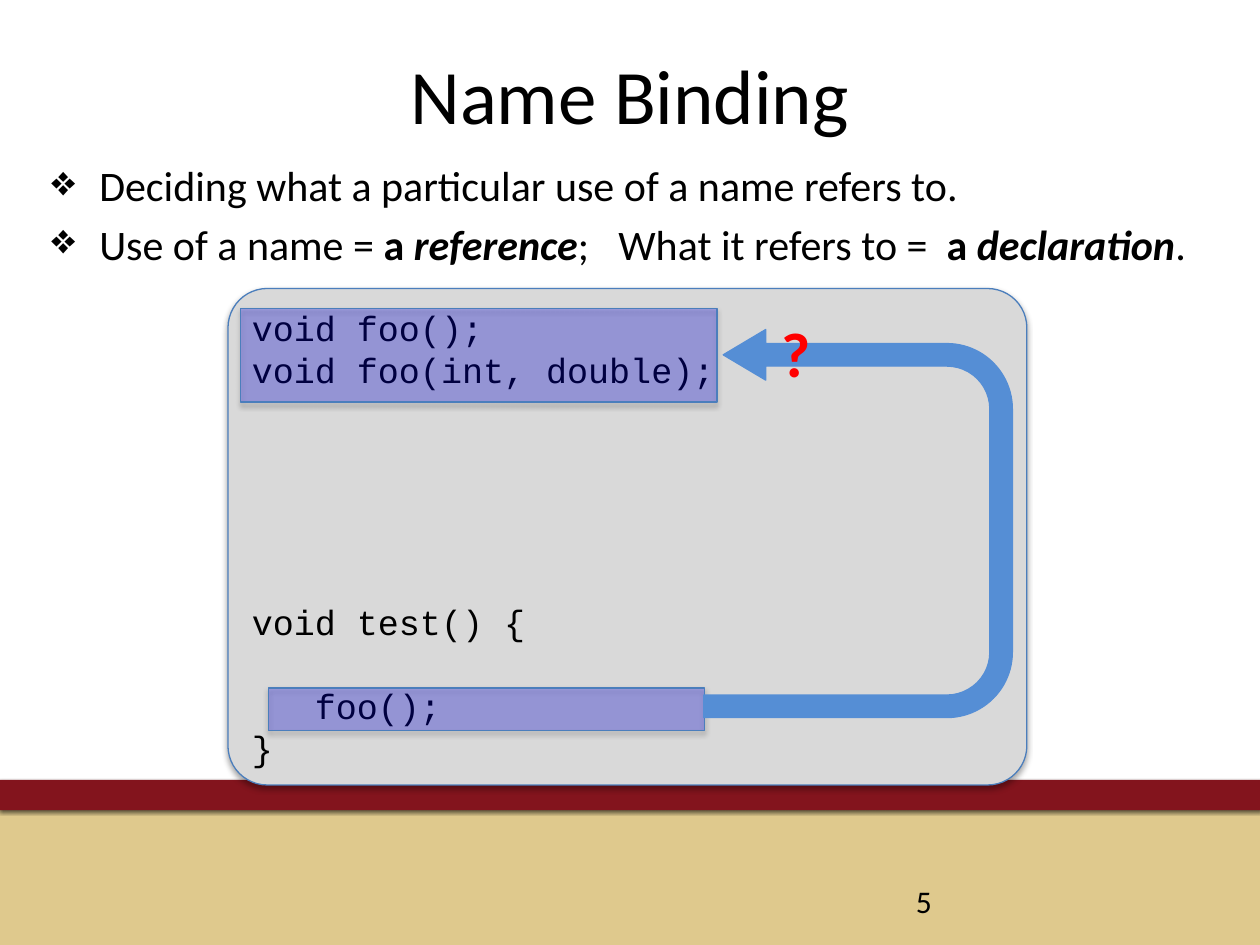
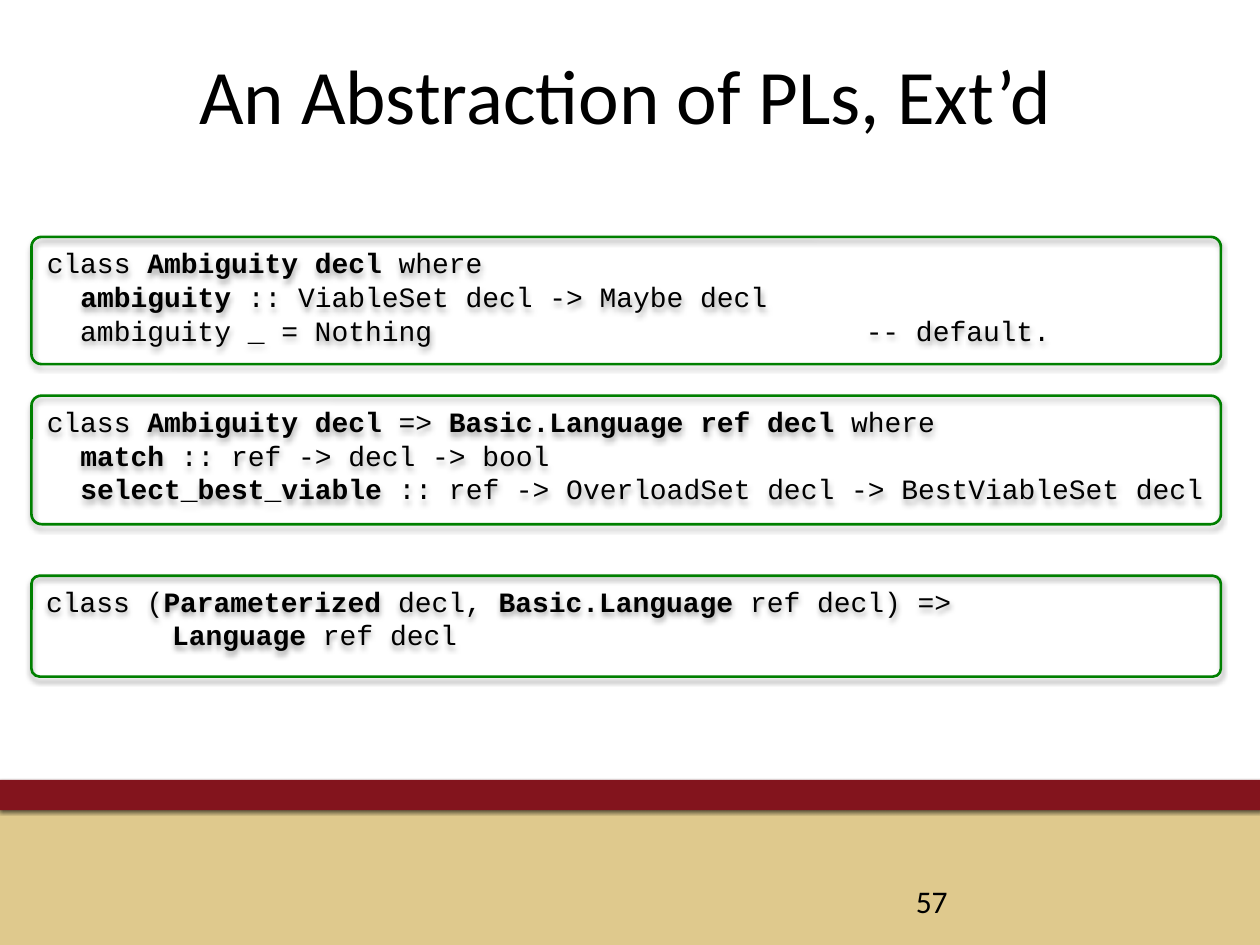
from dataclasses import dataclass
from typing import Optional

from lxml.etree import SubElement
from pptx import Presentation
from pptx.dml.color import RGBColor as RGB
from pptx.enum.shapes import MSO_SHAPE as Shp
from pptx.enum.text import MSO_ANCHOR as Anchor, PP_ALIGN as Align
from pptx.oxml.ns import qn
from pptx.util import Emu, Inches, Pt


@dataclass(frozen=True)
class Theme:
    text: str = "000000"
    sand: str = "DFC98D"
    maroon: str = "83141D"
    panel: str = "D9D9D9"
    outline: str = "4B7EBC"
    highlight: str = "0000FF"
    arrow: str = "558ED5"
    question: str = "FF0000"
    class_outline: str = "008000"
    body_font: str = "Calibri"
    code_font: str = "Courier New"
    title_size: float = 44
    question_size: float = 36
    body_size: float = 24
    code_size: float = 20
    class_size: float = 16
    number_size: float = 18
    code_leading: float = 1.2
    corner: float = 0.079
    tab: float = 0.5


THEME = Theme()


@dataclass(frozen=True)
class Box:
    left: float
    top: float
    width: float
    height: float

    def emu(self) -> tuple[Emu, ...]:
        return tuple(Inches(v) for v in (self.left, self.top, self.width, self.height))


@dataclass(frozen=True)
class Run:
    text: str
    bold: bool = False
    italic: bool = False


@dataclass(frozen=True)
class Line:
    runs: tuple[Run, ...]
    gap: int = 0


@dataclass(frozen=True)
class Shadow:
    alpha: int
    blur: float
    distance: float
    angle: int


@dataclass(frozen=True)
class Style:
    fill: Optional[str] = None
    alpha: int = 100
    line: Optional[str] = None
    line_width: float = 0.75
    shadow: Optional[Shadow] = None


@dataclass(frozen=True)
class ClassBox:
    top: float
    height: float
    lines: tuple[Line, ...]


SOFT = Shadow(35, 3.1, 1.8, 90)
BAND_SHADOW = Shadow(60, 2, 1, 105)
PANEL = Style(THEME.panel, line=THEME.outline, shadow=SOFT)
HIGHLIGHT = Style(THEME.highlight, 25, THEME.outline, shadow=SOFT)
ARROW = Style(THEME.arrow, line=THEME.arrow)
CLASS = Style(line=THEME.class_outline, line_width=1.5, shadow=SOFT)


def line(*runs: Run | str, gap: int = 0) -> Line:
    return Line(tuple(Run(r) if isinstance(r, str) else r for r in runs), gap)


def bold(text: str) -> Run:
    return Run(text, bold=True)


def strong(text: str) -> Run:
    return Run(text, bold=True, italic=True)


BULLETS = (
    line("Deciding what a particular use of a name refers to."),
    line("Use of a name = ", bold("a "), strong("reference"), "; \tWhat it refers to =  ",
         bold("a "), strong("declaration"), "."),
)
FOO_CODE = (
    line("void foo();"),
    line("void foo(int, double);"),
    line("void test() {", gap=5),
    line("\tfoo();", gap=1),
    line("}"),
)
CLASSES = (
    ClassBox(1.88, 1.01, (
        line("class ", bold("Ambiguity decl"), " where"),
        line("  ", bold("ambiguity"), " :: ViableSet decl -> Maybe decl"),
        line("  ambiguity _ = Nothing\t\t\t\t\t\t\t-- default."),
    )),
    ClassBox(3.14, 1.02, (
        line("class ", bold("Ambiguity decl"), " => ", bold("Basic.Language ref decl"), " where"),
        line("  ", bold("match"), " :: ref -> decl -> bool"),
        line("  ", bold("select_best_viable"),
             " :: ref -> OverloadSet decl -> BestViableSet decl"),
    )),
    ClassBox(4.57, 0.8, (
        line("class (", bold("Parameterized "), "decl, ", bold("Basic.Language"), " ref decl) =>"),
        line(bold("\t\tLanguage"), " ref decl"),
    )),
)


def add_shadow(sp, shadow: Shadow) -> None:
    effects = sp.element.spPr.find(qn("a:effectLst"))
    outer = SubElement(effects, qn("a:outerShdw"), blurRad=str(Pt(shadow.blur)),
                       dist=str(Pt(shadow.distance)), dir=str(shadow.angle * 60000),
                       rotWithShape="0")
    color = SubElement(outer, qn("a:srgbClr"), val="000000")
    SubElement(color, qn("a:alpha"), val=str(shadow.alpha * 1000))


def add_shape(s, kind: Shp, box: Box, style: Style, adjustments: tuple[float, ...] = ()):
    sp = s.shapes.add_shape(kind, *box.emu())
    sp.shadow.inherit = False
    for i, value in enumerate(adjustments):
        sp.adjustments[i] = value
    if style.fill:
        sp.fill.solid()
        sp.fill.fore_color.rgb = RGB.from_string(style.fill)
        if style.alpha < 100:
            color = sp.element.spPr.find(qn("a:solidFill")).find(qn("a:srgbClr"))
            SubElement(color, qn("a:alpha"), val=str(style.alpha * 1000))
    else:
        sp.fill.background()
    if style.line:
        sp.line.color.rgb = RGB.from_string(style.line)
        sp.line.width = Pt(style.line_width)
    else:
        sp.line.fill.background()
    if style.shadow:
        add_shadow(sp, style.shadow)
    return sp


def add_run(p, run: Run, size: float, font: str = THEME.body_font,
            color: str = THEME.text) -> None:
    r = p.add_run()
    r.text = run.text
    r.font.name = font
    r.font.size = Pt(size)
    r.font.bold = run.bold
    r.font.italic = run.italic
    r.font.color.rgb = RGB.from_string(color)


def add_tabs(p, count: int) -> None:
    tabs = SubElement(p._p.get_or_add_pPr(), qn("a:tabLst"))
    for i in range(1, count + 1):
        SubElement(tabs, qn("a:tab"), pos=str(Inches(i * THEME.tab)), algn="l")


def add_bullet(p) -> None:
    props = p._p.get_or_add_pPr()
    props.set("marL", str(Inches(0.38)))
    props.set("indent", str(Inches(-0.38)))
    SubElement(props, qn("a:buChar"), char="❖")


def add_label(s, box: Box, run: Run, size: float, color: str = THEME.text,
              align: Align = Align.LEFT, anchor: Anchor = Anchor.TOP):
    tf = s.shapes.add_textbox(*box.emu()).text_frame
    tf.word_wrap = True
    tf.vertical_anchor = anchor
    p = tf.paragraphs[0]
    p.alignment = align
    add_run(p, run, size, color=color)
    return tf


def paragraphs(tf, lines: tuple[Line, ...]):
    for i, item in enumerate(lines):
        yield (tf.add_paragraph() if i else tf.paragraphs[0]), item


def add_bullets(s, box: Box, lines: tuple[Line, ...]) -> None:
    tf = s.shapes.add_textbox(*box.emu()).text_frame
    tf.word_wrap = True
    for i, (p, item) in enumerate(paragraphs(tf, lines)):
        if i:
            p.space_before = Pt(THEME.body_size * 0.2)
        add_bullet(p)
        add_tabs(p, 9)
        for run in item.runs:
            add_run(p, run, THEME.body_size)


def add_code(s, box: Box, style: Style, lines: tuple[Line, ...], size: float) -> None:
    tf = add_shape(s, Shp.ROUNDED_RECTANGLE, box, style, (THEME.corner,)).text_frame
    tf.word_wrap = True
    tf.vertical_anchor = Anchor.TOP
    leading = size * THEME.code_leading
    for p, item in paragraphs(tf, lines):
        p.alignment = Align.LEFT
        p.line_spacing = Pt(leading)
        if item.gap:
            p.space_before = Pt(item.gap * leading)
        add_tabs(p, 13)
        for run in item.runs:
            add_run(p, run, size, THEME.code_font)


def add_base(prs, title: str, title_box: Box, number: int):
    s = prs.slides.add_slide(prs.slide_layouts[6])
    add_shape(s, Shp.RECTANGLE, Box(0, 6.43, 10, 1.07), Style(THEME.sand))
    add_shape(s, Shp.RECTANGLE, Box(0, 6.19, 10.01, 0.24),
              Style(THEME.maroon, shadow=BAND_SHADOW))
    tf = add_label(s, title_box, Run(title), THEME.title_size, align=Align.CENTER)
    tf.margin_top = Inches(0.08)
    add_label(s, Box(7.17, 6.95, 2.33, 0.4), Run(str(number)), THEME.number_size,
              anchor=Anchor.MIDDLE)
    return s


def build_name_binding(prs) -> None:
    s = add_base(prs, "Name Binding", Box(0.5, 0.3, 9, 1.25), 5)
    add_bullets(s, Box(0.31, 1.22, 9.37, 1), BULLETS)
    add_code(s, Box(1.81, 2.29, 6.34, 3.94), PANEL, FOO_CODE, THEME.code_size)
    for box in (Box(1.91, 2.45, 3.78, 0.74), Box(2.13, 5.46, 3.46, 0.34)):
        add_shape(s, Shp.RECTANGLE, box, HIGHLIGHT)
    arrow = add_shape(s, Shp.U_TURN_ARROW, Box(5.27, 2.93, 3.08, 2.45), ARROW,
                      (0.073, 0.082, 0.138, 0.212, 0.937))
    arrow.rotation = 90
    arrow.element.spPr.find(qn("a:xfrm")).set("flipH", "1")
    add_label(s, Box(6.1, 2.45, 0.52, 0.71), bold("?"), THEME.question_size, THEME.question)


def build_abstraction(prs) -> None:
    s = add_base(prs, "An Abstraction of PLs, Ext’d", Box(0.37, 0.3, 9.19, 1.25), 57)
    for item in CLASSES:
        add_code(s, Box(0.25, item.top, 9.44, item.height), CLASS, item.lines,
                 THEME.class_size)


def main() -> None:
    prs = Presentation()
    prs.slide_width, prs.slide_height = Inches(10), Inches(7.5)
    build_name_binding(prs)
    build_abstraction(prs)
    prs.save("out.pptx")


if __name__ == "__main__":
    main()
